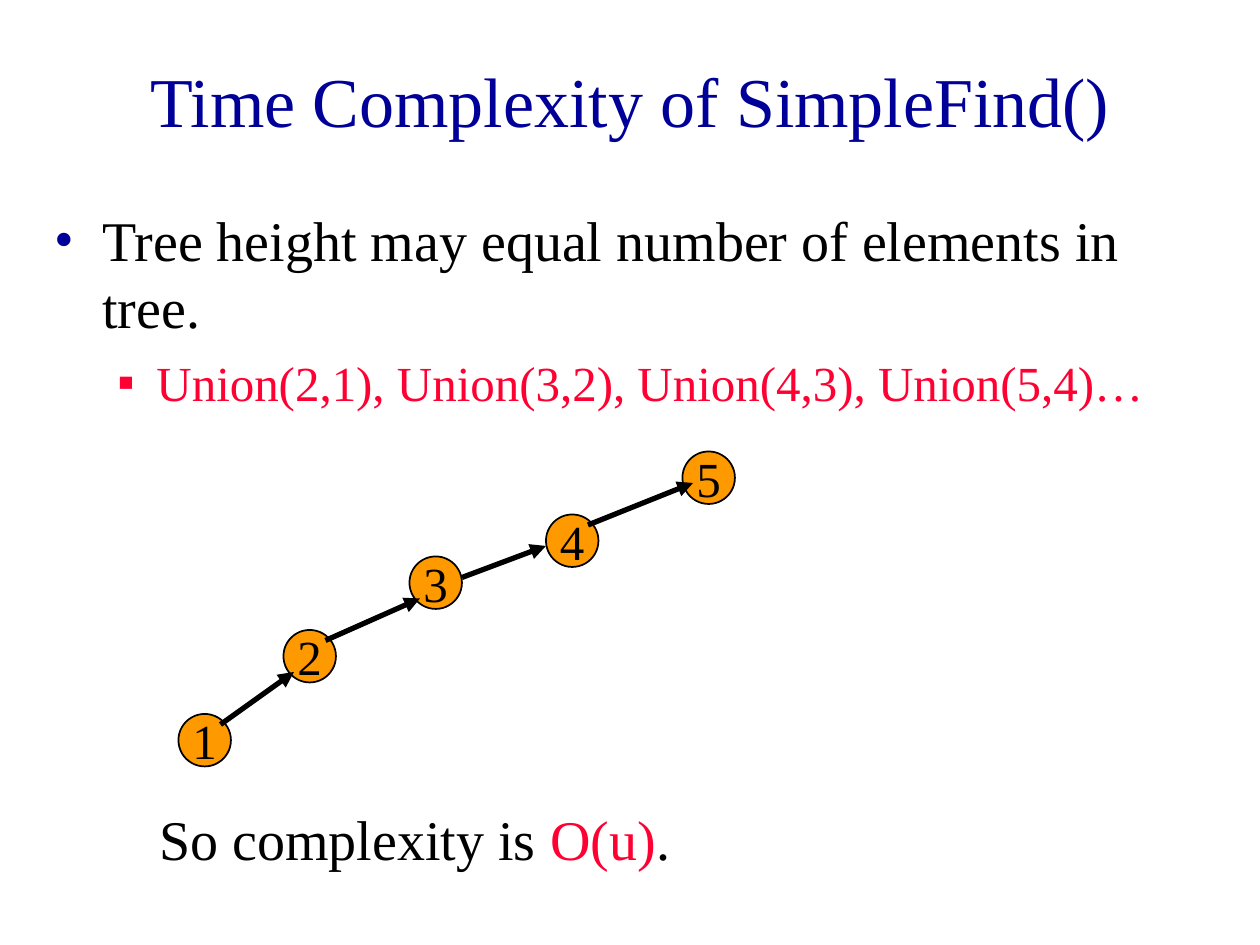
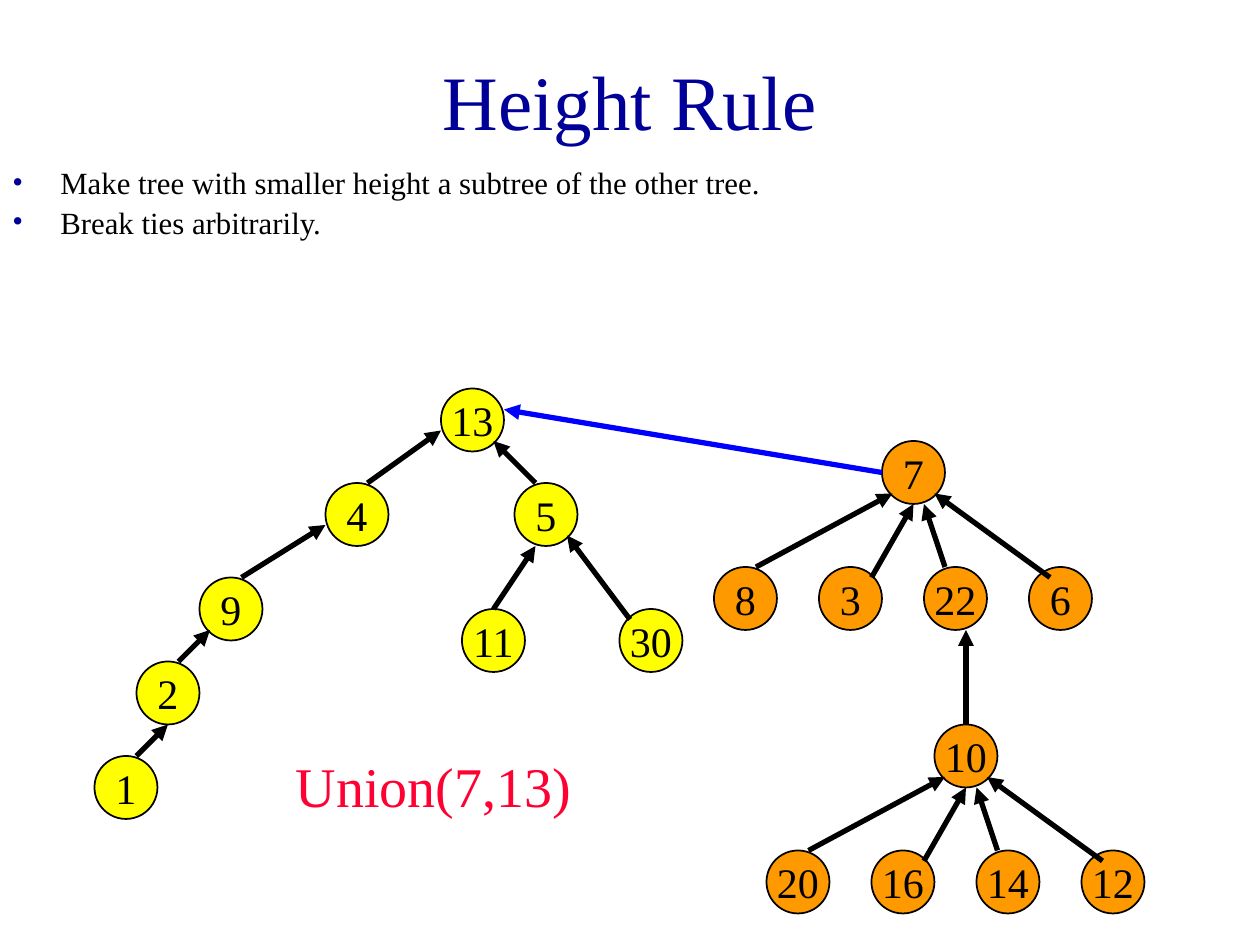
from lxml import etree
from pptx import Presentation
from pptx.dml.color import RGBColor
from pptx.enum.shapes import MSO_CONNECTOR, MSO_SHAPE
from pptx.enum.text import MSO_ANCHOR, MSO_AUTO_SIZE, PP_ALIGN
from pptx.oxml.ns import qn
from pptx.util import Inches, Pt

OVAL = MSO_SHAPE.OVAL
STRAIGHT = MSO_CONNECTOR.STRAIGHT
MIDDLE = MSO_ANCHOR.MIDDLE
CENTER = PP_ALIGN.CENTER
LEFT = PP_ALIGN.LEFT
NO_AUTOFIT = MSO_AUTO_SIZE.NONE

FONT = "Times New Roman"
COLORS = {
    "title": "000099",
    "text": "000000",
    "accent": "FF0033",
    "orange": "FF9900",
    "yellow": "FFFF00",
    "union": "0000FF",
}
COLUMNS, ROWS = 120, 90
TITLE_BOX = (9, 2, 102, 15)
BULLETS = [("•", "title", 0.38, 0.38), ("▪", "accent", 0.81, 0.31)]

presentation = Presentation()
presentation.slide_width = Inches(10)
presentation.slide_height = Inches(7.5)
CELL = presentation.slide_width // COLUMNS


def grid(*cells):
    return [cell * CELL for cell in cells]


def add_runs(paragraph, runs, size, alignment=LEFT):
    paragraph.alignment = alignment
    for text, color in runs:
        run = paragraph.add_run()
        run.text = text
        run.font.name = FONT
        run.font.size = Pt(size)
        run.font.color.rgb = RGBColor.from_string(COLORS[color])


chain_nodes = [
    ("1", 17, 68, "orange"),
    ("2", 27, 60, "orange"),
    ("3", 39, 53, "orange"),
    ("4", 52, 49, "orange"),
    ("5", 65, 43, "orange"),
]
chain_arrows = [
    (21, 69, 28, 64, "text"),
    (31, 61, 40, 57, "text"),
    (44, 55, 52, 52, "text"),
    (56, 50, 66, 46, "text"),
]

tree_nodes = [
    ("13", 42, 37, "yellow"),
    ("4", 31, 46, "yellow"),
    ("5", 49, 46, "yellow"),
    ("9", 19, 55, "yellow"),
    ("2", 13, 63, "yellow"),
    ("1", 9, 72, "yellow"),
    ("11", 44, 58, "yellow"),
    ("30", 59, 58, "yellow"),
]
tree_arrows = [
    (35, 46, 42, 41, "text"),
    (51, 46, 47, 42, "text"),
    (23, 55, 31, 50, "text"),
    (17, 63, 20, 60, "text"),
    (13, 72, 16, 69, "text"),
    (47, 58, 51, 52, "text"),
    (60, 59, 54, 51, "text"),
    (92, 69, 92, 60, "text"),
    (84, 45, 48, 39, "union"),
]

fan_arrows = [(-12, 12, 1, 5), (-1, 13, 3, 6), (6, 12, 4, 6), (16, 13, 5, 5)]
fans = [
    ("7", 84, 42, ["8", "3", "22", "6"]),
    ("10", 89, 69, ["20", "16", "14", "12"]),
]
for root, column, row, children in fans:
    tree_nodes.append((root, column, row, "orange"))
    for index, child in enumerate(children):
        tree_nodes.append((child, column - 16 + 10 * index, row + 12, "orange"))
    for x1, y1, x2, y2 in fan_arrows:
        tree_arrows.append((column + x1, row + y1, column + x2, row + y2, "text"))

slides = [
    {
        "title": ("Time Complexity of SimpleFind()", 40),
        "body_box": (4, 19, 111, 23),
        "line_spacing": 1.0,
        "body": [
            (0, "Tree height may equal number of elements in tree.", "text", 32, 8),
            (1, "Union(2,1), Union(3,2), Union(4,3), Union(5,4)…", "accent", 28, 7),
        ],
        "node_size": 5,
        "label_size": 28,
        "nodes": chain_nodes,
        "arrows": chain_arrows,
        "note_box": (14, 76, 97, 7.7),
        "note": [("So complexity is ", "text"), ("O(u)", "accent"), (".", "text")],
    },
    {
        "title": ("Height Rule", 44),
        "body_box": (0, 16, 117, 8),
        "line_spacing": 0.7,
        "body": [
            (0, "Make tree with smaller height a subtree of the other tree.", "text", 17.6, 8),
            (0, "Break ties arbitrarily.", "text", 17.6, 8),
        ],
        "node_size": 6,
        "label_size": 24,
        "nodes": tree_nodes,
        "arrows": tree_arrows,
        "note_box": (27, 71, 31, 7.7),
        "note": [("Union(7,13)", "accent")],
    },
]

for content in slides:
    slide = presentation.slides.add_slide(presentation.slide_layouts[5])
    title = slide.shapes.title
    title.left, title.top, title.width, title.height = grid(*TITLE_BOX)
    title.text_frame.auto_size = NO_AUTOFIT
    title.text_frame.vertical_anchor = MIDDLE
    title_text, title_size = content["title"]
    add_runs(title.text_frame.paragraphs[0], [(title_text, "title")], title_size, CENTER)

    body = slide.shapes.add_textbox(*map(int, grid(*content["body_box"]))).text_frame
    body.word_wrap = True
    for index, (level, text, color, size, space) in enumerate(content["body"]):
        paragraph = body.add_paragraph() if index else body.paragraphs[0]
        character, bullet_color, indent, hanging = BULLETS[level]
        properties = paragraph._p.get_or_add_pPr()
        properties.set("marL", str(Inches(indent)))
        properties.set("indent", str(-Inches(hanging)))
        bullet_fill = etree.SubElement(properties, qn("a:buClr"))
        etree.SubElement(bullet_fill, qn("a:srgbClr"), val=COLORS[bullet_color])
        etree.SubElement(properties, qn("a:buFont"), typeface=FONT)
        etree.SubElement(properties, qn("a:buChar"), char=character)
        paragraph.level = level
        paragraph.line_spacing = content["line_spacing"]
        if index:
            paragraph.space_before = Pt(space)
        add_runs(paragraph, [(text, color)], size)

    diameter = content["node_size"]
    for label, column, row, color in content["nodes"]:
        node = slide.shapes.add_shape(OVAL, *grid(column, row, diameter, diameter))
        node.shadow.inherit = False
        node.fill.solid()
        node.fill.fore_color.rgb = RGBColor.from_string(COLORS[color])
        node.line.color.rgb = RGBColor.from_string(COLORS["text"])
        node.line.width = Pt(1)
        frame = node.text_frame
        frame.word_wrap = False
        frame.vertical_anchor = MIDDLE
        frame.margin_left = frame.margin_right = frame.margin_top = frame.margin_bottom = 0
        add_runs(frame.paragraphs[0], [(label, "text")], content["label_size"], CENTER)

    for *ends, color in content["arrows"]:
        arrow = slide.shapes.add_connector(STRAIGHT, *grid(*ends))
        arrow.line.color.rgb = RGBColor.from_string(COLORS[color])
        arrow.line.width = Pt(3)
        etree.SubElement(arrow.line._get_or_add_ln(), qn("a:tailEnd"), type="triangle")
        etree.SubElement(arrow._element.spPr, qn("a:effectLst"))

    note = slide.shapes.add_textbox(*map(int, grid(*content["note_box"]))).text_frame
    note.word_wrap = True
    add_runs(note.paragraphs[0], content["note"], 32)

presentation.save("out.pptx")
